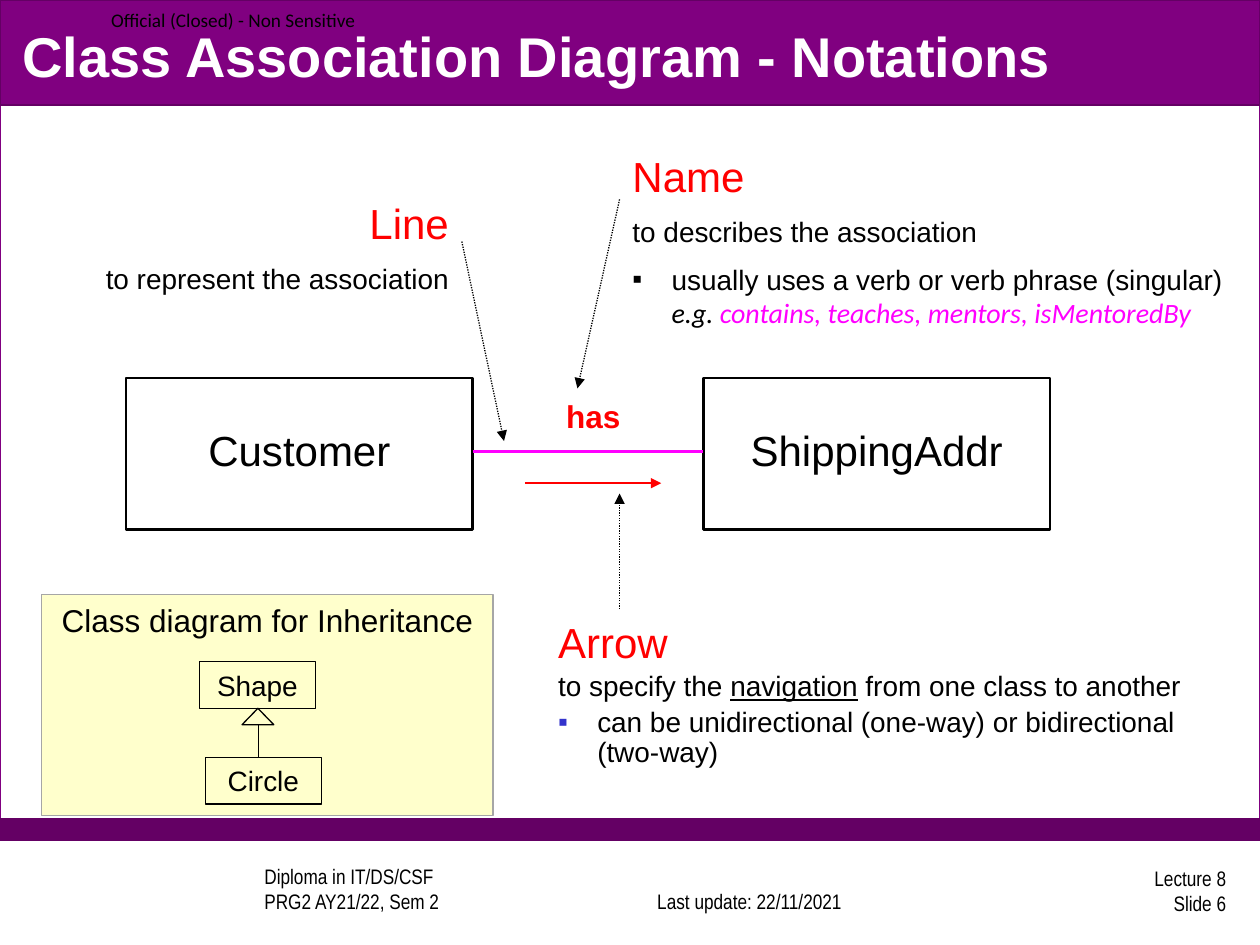
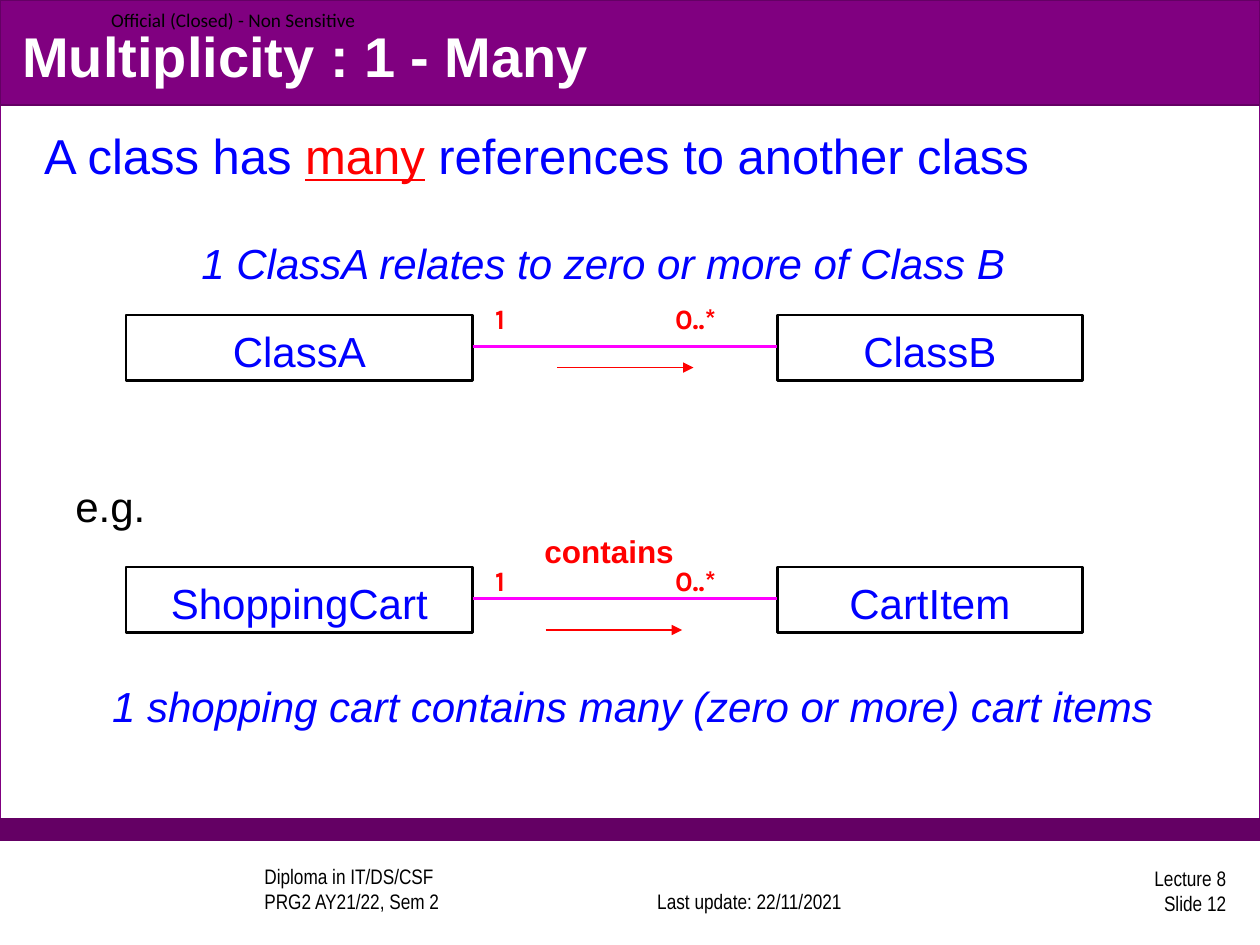
import collections
import dataclasses

import lxml.etree
import pptx
import pptx.dml.color
import pptx.enum.dml
import pptx.enum.shapes
import pptx.enum.text
import pptx.oxml.ns
import pptx.util

Cm = pptx.util.Cm
Pt = pptx.util.Pt
qn = pptx.oxml.ns.qn
ALIGN = pptx.enum.text.PP_ALIGN
ANCHOR = pptx.enum.text.MSO_ANCHOR
SHAPE = pptx.enum.shapes.MSO_SHAPE


@dataclasses.dataclass(frozen=True)
class Theme:
    white: str = "FFFFFF"
    black: str = "000000"
    purple: str = "800080"
    dark_purple: str = "640064"
    red: str = "FF0000"
    blue: str = "0000FF"
    magenta: str = "FF00FF"
    bullet_blue: str = "3333CC"
    cream: str = "FFFFCC"
    grey: str = "A6A6A6"
    font: str = "Arial"
    footer_font: str = "Arial Narrow"
    note_font: str = "Calibri"
    multiplicity_font: str = "Karla"
    title: int = 32
    lead: int = 28
    heading: int = 24
    label: int = 18
    body: int = 16
    footer: int = 12
    note: int = 11


THEME = Theme()


class Box(collections.namedtuple("Box", "left top width height")):
    """A rectangle in centimetres."""

    def inside(self, left, top, width, height):
        return Box(self.left + left, self.top + top, width, height)

    def lengths(self):
        return [Cm(value) for value in self]


@dataclasses.dataclass
class Line:
    """One paragraph; content is a string or a list of (text, format) runs."""
    content: object
    size: int = THEME.body
    color: str = THEME.black
    font: str = THEME.font
    bold: bool = False
    italic: bool = False
    align: object = ALIGN.LEFT
    before: float = 0
    spacing: float = 1.0
    bullet: str = ""


# Text
def rgb(color):
    return pptx.dml.color.RGBColor.from_string(color)


def set_bullet(paragraph, color):
    properties = paragraph._p.get_or_add_pPr()
    indent = Cm(0.79) if color else 0
    properties.set("marL", str(indent))
    properties.set("indent", str(-indent))
    if not color:
        lxml.etree.SubElement(properties, qn("a:buNone"))
        return
    fill = lxml.etree.SubElement(properties, qn("a:buClr"))
    lxml.etree.SubElement(fill, qn("a:srgbClr"), val=color)
    lxml.etree.SubElement(properties, qn("a:buFont"), typeface=THEME.font)
    lxml.etree.SubElement(properties, qn("a:buChar"), char="▪")


def write_line(paragraph, line):
    set_bullet(paragraph, line.bullet)
    paragraph.alignment = line.align
    paragraph.space_before = Pt(line.before)
    paragraph.line_spacing = line.spacing
    font = paragraph.font
    font.name, font.size = line.font, Pt(line.size)
    font.bold, font.italic = line.bold, line.italic
    font.color.rgb = rgb(line.color)
    if isinstance(line.content, str):
        paragraph.text = line.content
        return
    for text, style in line.content:
        if text == "\v":
            paragraph.add_line_break()
            continue
        run = paragraph.add_run()
        run.text = text
        for name, value in style.items():
            if name == "color":
                run.font.color.rgb = rgb(value)
            else:
                setattr(run.font, name, value)


def write(shape, lines, anchor=ANCHOR.TOP, top_inset=0.13):
    frame = shape.text_frame
    frame.word_wrap = True
    frame.auto_size = pptx.enum.text.MSO_AUTO_SIZE.NONE
    frame.vertical_anchor = anchor
    frame.margin_left = frame.margin_right = Cm(0.25)
    frame.margin_top, frame.margin_bottom = Cm(top_inset), Cm(0.13)
    for index, line in enumerate(lines):
        write_line(frame.add_paragraph() if index else frame.paragraphs[0], line)


def add_text(slide, box, *lines, anchor=ANCHOR.TOP):
    shape = slide.shapes.add_textbox(*box.lengths())
    write(shape, lines, anchor)
    return shape


def fill_placeholder(shape, box, *lines, anchor=ANCHOR.TOP):
    shape.left, shape.top, shape.width, shape.height = box.lengths()
    write(shape, lines, anchor)


# Shapes and lines
def add_shape(slide, box, fill=None, line=THEME.black, width=0.75, kind=SHAPE.RECTANGLE):
    shape = slide.shapes.add_shape(kind, *box.lengths())
    shape.shadow.inherit = False
    if fill:
        shape.fill.solid()
        shape.fill.fore_color.rgb = rgb(fill)
    else:
        shape.fill.background()
    shape.line.color.rgb = rgb(line)
    shape.line.width = Pt(width)
    return shape


def add_line(slide, start, end, color=THEME.black, width=0.75, dotted=False, arrow=False):
    straight = pptx.enum.shapes.MSO_CONNECTOR.STRAIGHT
    points = [Cm(value) for value in (*start, *end)]
    connector = slide.shapes.add_connector(straight, *points)
    connector.line.color.rgb = rgb(color)
    connector.line.width = Pt(width)
    if dotted:
        connector.line.dash_style = pptx.enum.dml.MSO_LINE.ROUND_DOT
    if arrow:
        lxml.etree.SubElement(connector.line._get_or_add_ln(), qn("a:tailEnd"), type="triangle")
    lxml.etree.SubElement(connector._element.spPr, qn("a:effectLst"))


# Frame shared by the slides
def add_base(presentation, layout_index, title, number):
    slide = presentation.slides.add_slide(presentation.slide_layouts[layout_index])
    add_shape(slide, Box(0, 0, 25.4, 16.93), THEME.white, THEME.purple)
    add_shape(slide, Box(0, 16.51, 25.4, 0.43), THEME.dark_purple, THEME.dark_purple)
    add_shape(slide, Box(0, 0, 25.4, 2.12), THEME.purple, THEME.dark_purple)

    footers = [
        (Box(5.08, 17.5, 6.77, 1.06), "Diploma in IT/DS/CSF\vPRG2 AY21/22, Sem 2",
         ALIGN.LEFT, ANCHOR.BOTTOM),
        (Box(12.47, 17.5, 5.28, 1.06), "Last update: 22/11/2021",
         ALIGN.CENTER, ANCHOR.BOTTOM),
        (Box(19.69, 17.42, 5.28, 1.06), f"Lecture 8\vSlide {number}",
         ALIGN.RIGHT, ANCHOR.MIDDLE),
    ]
    for box, text, align, anchor in footers:
        line = Line(text, THEME.footer, font=THEME.footer_font, align=align)
        add_text(slide, box, line, anchor=anchor)
    add_text(slide, Box(1.99, 0, 5.9, 0.79),
             Line("Official (Closed) - Non Sensitive", THEME.note, font=THEME.note_font),
             anchor=ANCHOR.MIDDLE)

    # Placeholders go in front of the bands
    for placeholder in list(slide.placeholders):
        slide.shapes._spTree.append(placeholder._element)
    fill_placeholder(slide.shapes.title, Box(0.2, 0.33, 24.97, 1.57),
                     Line(title, THEME.title, THEME.white, bold=True), anchor=ANCHOR.MIDDLE)
    return slide


# Two classes joined by a line, with a navigation arrow below it
def add_association(slide, box, names, widths, line_drop, arrow_offset, text_inset, color):
    left_width, right_width = widths
    class_boxes = [
        box.inside(0, 0, left_width, box.height),
        box.inside(box.width - right_width, 0, right_width, box.height),
    ]
    for name, class_box in zip(names, class_boxes):
        shape = add_shape(slide, class_box, width=1.5)
        write(shape, [Line(name, THEME.heading, color, align=ALIGN.CENTER)],
              top_inset=text_inset)
    line_top = box.top + line_drop
    add_line(slide, (box.left + left_width, line_top), (class_boxes[1].left, line_top),
             THEME.magenta, 1.5)
    arrow_left, arrow_top = box.left + arrow_offset[0], box.top + arrow_offset[1]
    add_line(slide, (arrow_left, arrow_top), (arrow_left + 2.75, arrow_top),
             THEME.red, 1, arrow=True)


def add_association_name(slide, box, name):
    add_text(slide, box, Line(name, THEME.label, THEME.red, bold=True, align=ALIGN.CENTER))


def add_inheritance_panel(slide, box):
    panel = add_shape(slide, box, THEME.cream, THEME.grey)
    write(panel, [Line("Class diagram for Inheritance", THEME.label, align=ALIGN.CENTER)])
    for name, left, top in (("Shape", 3.18, 1.35), ("Circle", 3.3, 3.28)):
        shape = add_shape(slide, box.inside(left, top, 2.34, 0.94), THEME.cream)
        write(shape, [Line(name, align=ALIGN.CENTER)])
    add_shape(slide, box.inside(4.04, 2.29, 0.64, 0.33), kind=SHAPE.ISOSCELES_TRIANGLE)
    middle = box.left + 4.37
    add_line(slide, (middle, box.top + 2.62), (middle, box.top + 3.28))


def build_notations(presentation):
    slide = add_base(presentation, 3, "Class Association Diagram - Notations", 6)
    arrow_notes, name_notes = list(slide.placeholders)[1:]

    def heading(text, align=ALIGN.LEFT):
        return Line(text, THEME.heading, THEME.red, align=align)

    # Explanations
    fill_placeholder(
        arrow_notes, Box(11, 12.3, 13.34, 4.17),
        heading("Arrow"),
        Line([("to specify the ", {}), ("navigation", {"underline": True}),
              (" from one class to another", {})], before=3.2, spacing=0.9),
        Line("can be unidirectional (one-way) or bidirectional (two-way)",
             before=3.2, spacing=0.9, bullet=THEME.bullet_blue))
    example = {"name": THEME.note_font, "italic": True}
    fill_placeholder(
        name_notes, Box(12.5, 2.9, 12.9, 5.05),
        heading("Name"),
        Line("to describes the association", before=8),
        Line([("usually uses a verb or verb phrase (singular)", {}), ("\v", {}),
              ("e.g. ", example),
              ("contains, teaches, mentors, isMentoredBy", {**example, "color": THEME.magenta})],
             before=8, bullet=THEME.black))
    add_text(slide, Box(1.48, 3.85, 7.82, 2.29),
             heading("Line", ALIGN.RIGHT),
             Line("to represent the association", align=ALIGN.RIGHT, before=8))

    # Diagram and its pointers
    add_association(slide, Box(2.54, 7.62, 18.63, 3.05), ("Customer", "ShippingAddr"),
                    (6.99, 6.99), 1.48, (8.04, 2.12), 0.94, THEME.black)
    add_association_name(slide, Box(10.16, 7.87, 3.6, 1.02), "has")
    for start, end in (((12.49, 4.02), (11.64, 7.83)),
                       ((12.49, 12.28), (12.49, 9.95)),
                       ((9.31, 4.87), (10.16, 8.89))):
        add_line(slide, start, end, dotted=True, arrow=True)
    add_inheritance_panel(slide, Box(0.84, 11.99, 9.1, 4.45))


def build_multiplicity(presentation):
    slide = add_base(presentation, 1, "Multiplicity : 1 - Many", 12)
    fill_placeholder(
        slide.placeholders[1], Box(0.64, 2.54, 24.13, 1.7),
        Line([("A class has ", {}), ("many", {"color": THEME.red, "underline": True}),
              (" references to another class", {})], THEME.lead, THEME.blue, spacing=0.9))

    # Diagrams: names, top, arrow offset, top of the multiplicities
    diagrams = [
        (("ClassA", "ClassB"), 6.35, (8.69, 1.06), 5.95),
        (("ShoppingCart", "CartItem"), 11.43, (8.46, 1.27), 11.24),
    ]
    for names, top, arrow_offset, multiplicity_top in diagrams:
        add_association(slide, Box(2.54, top, 19.28, 1.32), names, (6.99, 6.15),
                        0.64, arrow_offset, 0.22, THEME.blue)
        for text, left in (("1", 9.73), ("0..*", 13.36)):
            add_text(slide, Box(left, multiplicity_top, 2, 0.94),
                     Line(text, color=THEME.red, font=THEME.multiplicity_font, bold=True))
    add_association_name(slide, Box(9.95, 10.6, 4.66, 1.02), "contains")

    # Captions
    add_text(slide, Box(1.27, 9.55, 2.12, 1.27), Line("e.g.", THEME.heading))
    captions = [
        (Box(3.81, 4.65, 21.59, 1.27), "1 ClassA relates to zero or more of Class B"),
        (Box(2.01, 13.59, 21.8, 1.27), "1 shopping cart contains many (zero or more) cart items"),
    ]
    for box, text in captions:
        add_text(slide, box, Line(text, THEME.heading, THEME.blue, italic=True))


def main():
    presentation = pptx.Presentation()
    presentation.slide_width, presentation.slide_height = Cm(25.4), Cm(19.05)
    build_notations(presentation)
    build_multiplicity(presentation)
    presentation.save("out.pptx")


if __name__ == "__main__":
    main()
